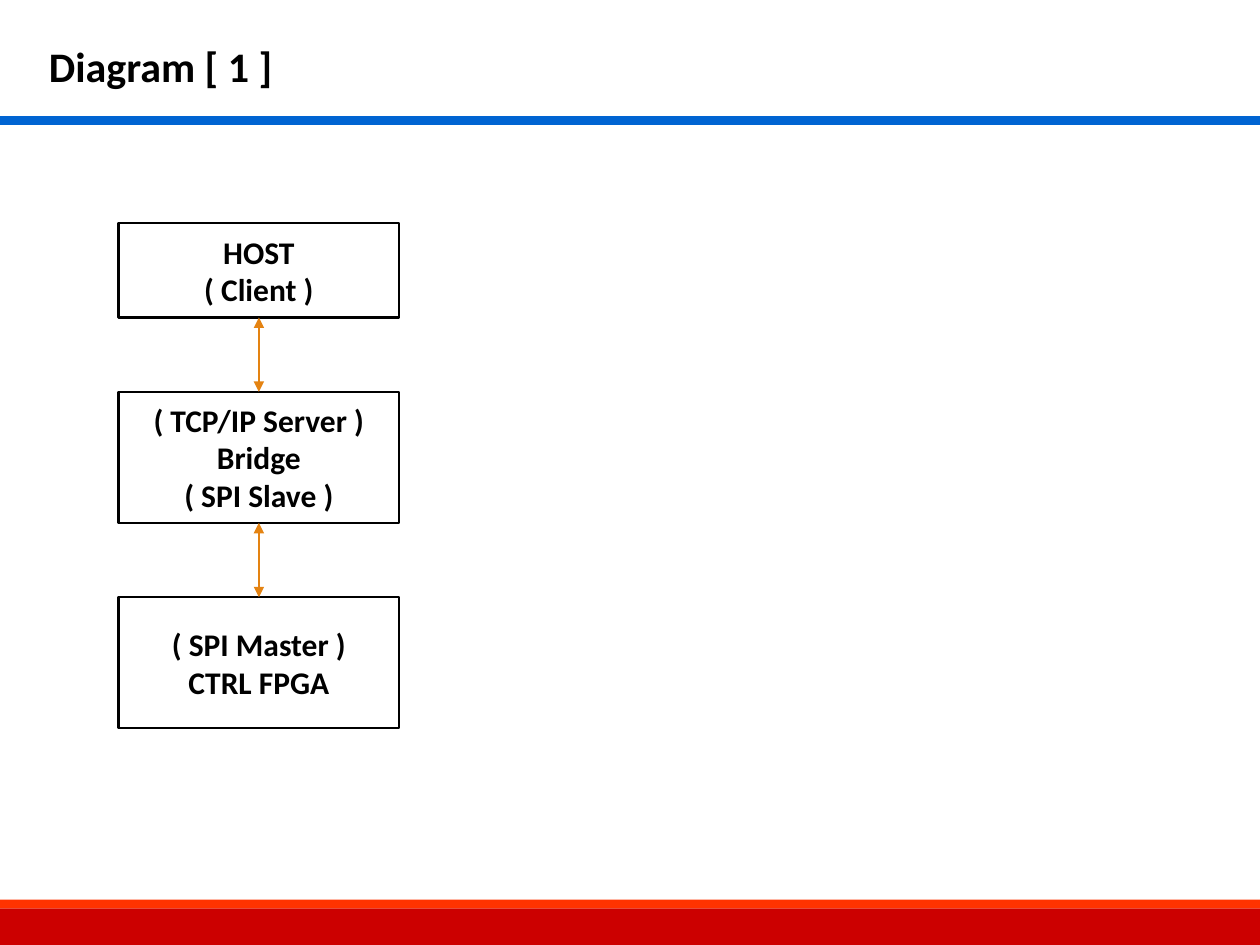
from dataclasses import dataclass

from lxml import etree
from pptx import Presentation
from pptx import util as u
from pptx.dml.color import RGBColor
from pptx.enum import shapes, text
from pptx.oxml import ns

COLS, ROWS = 100, 75
BOTTOM, TOP = 2, 0


@dataclass(frozen=True)
class Theme:
    font: str = "Calibri"
    title_size: float = 24
    box_size: float = 18
    border: float = 1.25
    arrow_width: float = 1
    ink: str = "000000"
    paper: str = "FFFFFF"
    blue: str = "0064D2"
    red: str = "CC0000"
    orange_red: str = "FF3300"
    arrow: str = "E48312"


def rgb(value):
    return RGBColor.from_string(value)


def write(tf, content, *, font, size, color, bold=True, align=text.PP_ALIGN.LEFT):
    """Fill a text frame with one paragraph per line of content."""
    for i, line in enumerate(content.split("\n")):
        p = tf.paragraphs[0] if i == 0 else tf.add_paragraph()
        p.alignment = align
        r = p.add_run()
        r.text = line
        r.font.name, r.font.size, r.font.bold = font, u.Pt(size), bold
        r.font.color.rgb = rgb(color)


class SlideBuilder:
    def __init__(self, prs, theme):
        self.theme = theme
        self.s = prs.slides.add_slide(prs.slide_layouts[6])
        self.col = prs.slide_width / COLS
        self.row = prs.slide_height / ROWS

    def place(self, x, y, w, h):
        """Turn grid columns and rows into slide lengths."""
        return (round(x * self.col), round(y * self.row),
                round(w * self.col), round(h * self.row))

    def rect(self, x, y, w, h, fill, line=None):
        sp = self.s.shapes.add_shape(shapes.MSO_SHAPE.RECTANGLE, *self.place(x, y, w, h))
        sp.shadow.inherit = False
        sp.fill.solid()
        sp.fill.fore_color.rgb = rgb(fill)
        if line:
            sp.line.color.rgb = rgb(line)
            sp.line.width = u.Pt(self.theme.border)
        else:
            sp.line.fill.background()
        return sp

    def band(self, y, h, fill, line=None):
        return self.rect(0, y, COLS, h, fill, line)

    def title(self, content, x, y, w, h):
        t = self.theme
        tf = self.s.shapes.add_textbox(*self.place(x, y, w, h)).text_frame
        tf.word_wrap = False
        tf.auto_size = text.MSO_AUTO_SIZE.SHAPE_TO_FIT_TEXT
        write(tf, content, font=t.font, size=t.title_size, color=t.ink)

    def box(self, content, x, y, w, h):
        t = self.theme
        sp = self.rect(x, y, w, h, t.paper, t.ink)
        tf = sp.text_frame
        tf.word_wrap = True
        tf.vertical_anchor = text.MSO_ANCHOR.MIDDLE
        write(tf, content, font=t.font, size=t.box_size, color=t.ink,
              align=text.PP_ALIGN.CENTER)
        return sp

    def link(self, upper, lower):
        """Join two stacked boxes with a double-headed arrow."""
        c = self.s.shapes.add_connector(shapes.MSO_CONNECTOR.STRAIGHT, 0, 0, 0, 0)
        c.begin_connect(upper, BOTTOM)
        c.end_connect(lower, TOP)
        c.line.color.rgb = rgb(self.theme.arrow)
        c.line.width = u.Pt(self.theme.arrow_width)
        ln = c.line._get_or_add_ln()
        for end in ("a:headEnd", "a:tailEnd"):
            etree.SubElement(ln, ns.qn(end), type="triangle")
        etree.SubElement(c._element.spPr, ns.qn("a:effectLst"))


def main():
    prs = Presentation()
    prs.slide_width, prs.slide_height = u.Inches(10), u.Inches(7.5)
    t = Theme()
    b = SlideBuilder(prs, t)

    b.band(72.1, 2.9, t.red)
    b.band(71.4, 0.7, t.orange_red)
    b.band(9.3, 0.5, t.blue, t.blue)
    b.title("Diagram [ 1 ]", 2.9, 2.7, 19.9, 5)

    stages = [
        ("HOST\n( Client )", 7.5),
        ("( TCP/IP Server )\nBridge\n( SPI Slave )", 10.4),
        ("( SPI Master )\nCTRL FPGA", 10.4),
    ]
    y, gap = 17.7, 5.9
    boxes = []
    for content, h in stages:
        boxes.append(b.box(content, 9.4, y, 22.3, h))
        y += h + gap
    for upper, lower in zip(boxes, boxes[1:]):
        b.link(upper, lower)

    prs.save("out.pptx")


if __name__ == "__main__":
    main()
